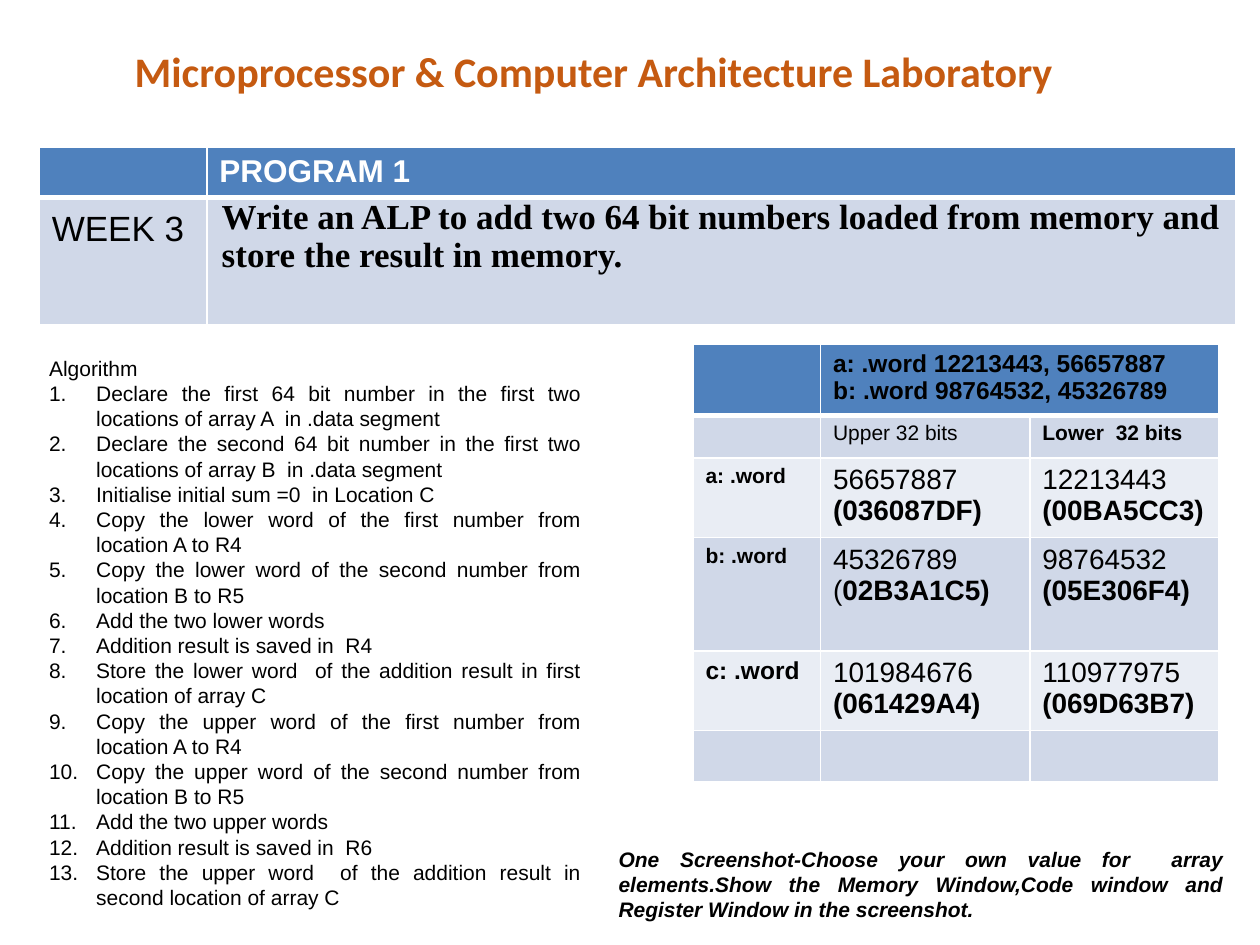
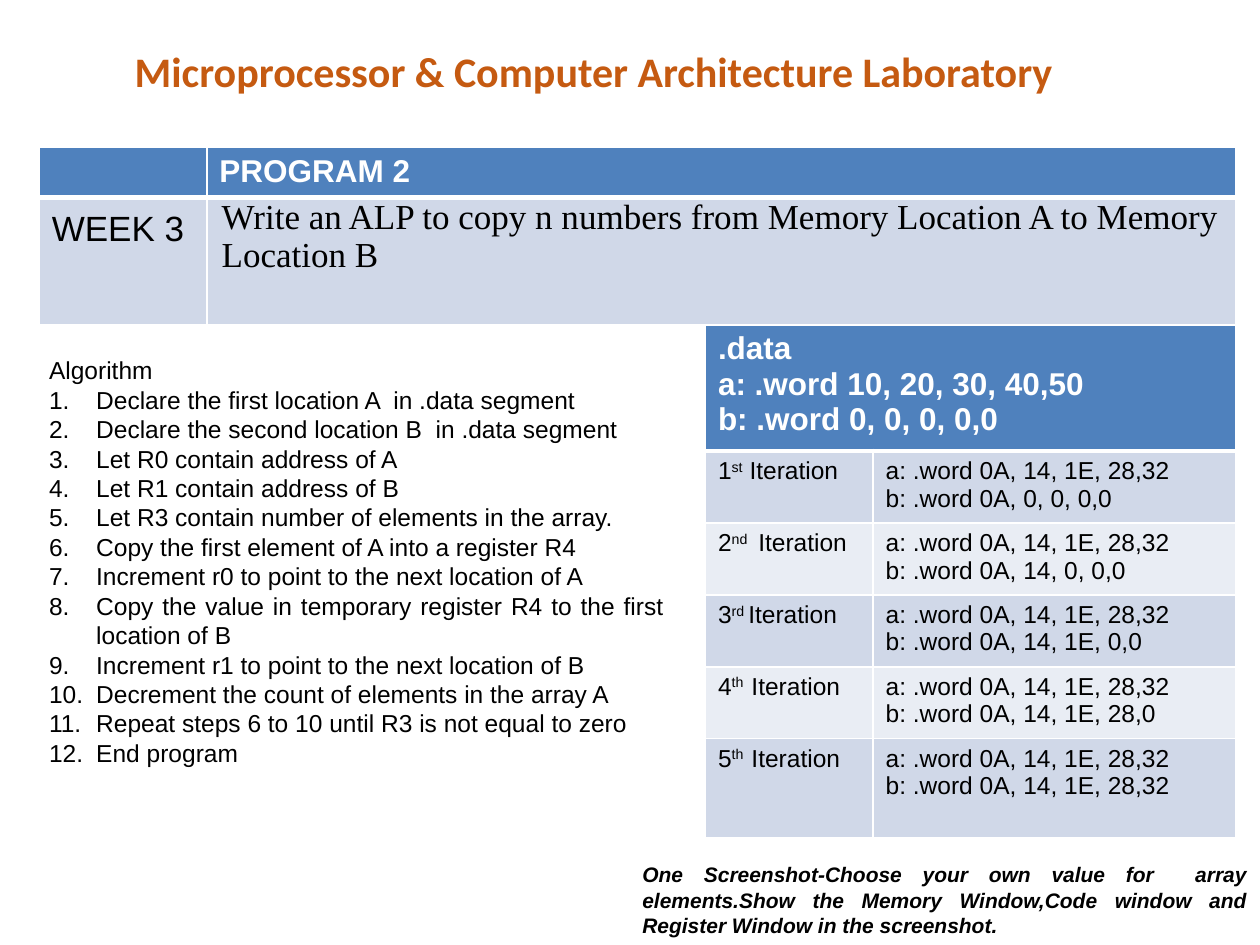
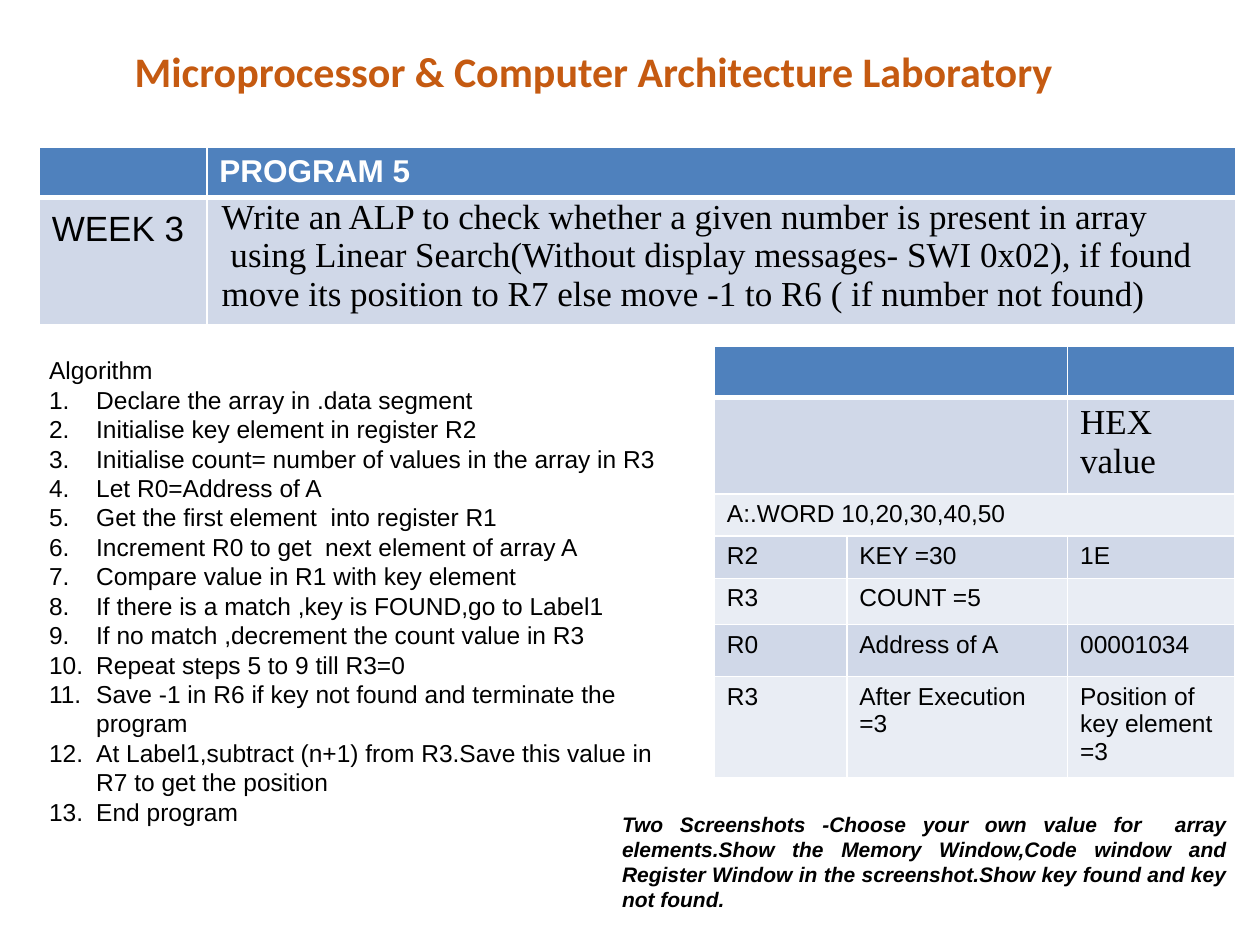
from dataclasses import dataclass

from pptx import Presentation, util as u
from pptx.dml.color import RGBColor
from pptx.enum import text
from pptx.oxml.ns import qn
from lxml import etree


@dataclass(frozen=True)
class Theme:
    title: str = "C55A11"
    head: str = "4F81BD"
    bands: tuple = ("E9EDF4", "D0D8E8")
    white: str = "FFFFFF"
    black: str = "000000"
    sans: str = "Arial"
    serif: str = "Times New Roman"
    heading: str = "Calibri"
    xl: int = 24
    lg: int = 20
    md: int = 18
    sm: int = 14
    xs: int = 12


T = Theme()
LEFT, JUST, CENTER = (text.PP_ALIGN.LEFT, text.PP_ALIGN.JUSTIFY,
                      text.PP_ALIGN.CENTER)
BOLD, PLAIN = {"bold": True}, {"bold": False}
BASE = {"name": T.sans, "size": T.xs, "bold": False, "color": T.black}
HEAD = {"size": T.md, "bold": True, "color": T.white}
SUP = {"baseline": "30000"}


# Text
def set_font(r, fmt):
    for key, val in fmt.items():
        if key == "color":
            r.font.color.rgb = RGBColor.from_string(val)
        elif key == "baseline":
            r._r.get_or_add_rPr().set(key, val)
        else:
            setattr(r.font, key, u.Pt(val) if key == "size" else val)


def write(tf, paras, fmt, align=LEFT):
    """Each paragraph is a string or a list of (text, format changes)."""
    fmt = {**BASE, **fmt}
    for i, para in enumerate(paras):
        p = tf.paragraphs[0] if i == 0 else tf.add_paragraph()
        p.alignment = align
        for words, changes in [(para, {})] if isinstance(para, str) else para:
            r = p.add_run()
            r.text = words
            set_font(r, {**fmt, **changes})
    if not paras:
        end = etree.SubElement(tf.paragraphs[0]._p, qn("a:endParaRPr"))
        end.set("sz", str(fmt["size"] * 100))


def add_text(s, box, paras, fmt, align):
    tf = s.shapes.add_textbox(*map(u.Cm, box)).text_frame
    tf.word_wrap = True
    tf.auto_size = text.MSO_AUTO_SIZE.SHAPE_TO_FIT_TEXT
    write(tf, paras, fmt, align)
    return tf


# Tables
def set_borders(cell, bottom):
    tcPr = cell._tc.get_or_add_tcPr()
    for side, width in zip("LRTB", (1, 1, 1, bottom)):
        ln = etree.SubElement(tcPr, qn(f"a:ln{side}"), w=str(u.Pt(width)))
        fill = etree.SubElement(ln, qn("a:solidFill"))
        etree.SubElement(fill, qn("a:srgbClr"), val=T.white)


def add_grid(s, left, top, cols, heights, rows, spans=()):
    """Each cell is (paragraphs, format); spans are (row, first, last)."""
    tbl = s.shapes.add_table(len(heights), len(cols), u.Cm(left), u.Cm(top),
                             u.Cm(sum(cols)), u.Cm(sum(heights))).table
    tbl.first_row = tbl.horz_banding = False
    for col, width in zip(tbl.columns, cols):
        col.width = u.Cm(width)
    for i, (height, row) in enumerate(zip(heights, rows)):
        tbl.rows[i].height = u.Cm(height)
        for j, (paras, fmt) in enumerate(row):
            cell = tbl.cell(i, j)
            set_borders(cell, 1 if i else 3)
            cell.fill.solid()
            cell.fill.fore_color.rgb = RGBColor.from_string(
                T.bands[i % 2] if i else T.head)
            write(cell.text_frame, paras, fmt)
    for row, first, last in spans:
        tbl.cell(row, first).merge(tbl.cell(row, last))
    return tbl


EMPTY = ([], {})


# Title and program band
def add_header(s, program, task, bold=False):
    tf = add_text(s, (0.64, 0.79, 22.66, 1.27),
                  ["Microprocessor & Computer Architecture Laboratory"],
                  {"name": T.heading, "size": T.xl, "bold": True,
                   "color": T.title}, CENTER)
    tf.vertical_anchor = text.MSO_ANCHOR.MIDDLE
    big = {"size": T.lg}
    tbl = add_grid(s, 0.79, 2.97, (3.38, 20.75), (0.99, 2.56), [
        [EMPTY, ([f"PROGRAM {program}"], HEAD)],
        [(["WEEK 3"], big), (task, {**big, "name": T.serif, "bold": bold})]])
    tbl.cell(1, 0).text_frame.paragraphs[0].line_spacing = 1.15
    cell = tbl.cell(1, 1)
    for side, gap in dict(left=0.3, right=0.3, top=0, bottom=0).items():
        setattr(cell, f"margin_{side}", u.Cm(gap))


# Numbered algorithm
def add_algorithm(s, width, height, size, steps, left_from=None):
    tf = add_text(s, (0.74, 7.04, width, height), ["Algorithm", *steps],
                  {"size": size}, JUST)
    for p in tf.paragraphs[1:]:
        pPr = p._p.get_or_add_pPr()
        pPr.set("marL", str(u.Cm(0.95)))
        pPr.set("indent", str(-u.Cm(0.95)))
        etree.SubElement(pPr, qn("a:buFont"), typeface="+mj-lt")
        etree.SubElement(pPr, qn("a:buAutoNum"), type="arabicPeriod")
    if left_from:
        for p in tf.paragraphs[left_from:]:
            p.alignment = LEFT


# Screenshot instruction
def add_note(s, left, top, height, start, end=""):
    add_text(s, (left, top, 12.7, height),
             [f"{start}-Choose your own value for  array elements.Show the "
              "Memory Window,Code window and Register Window in the "
              f"screenshot.{end}"], {"bold": True, "italic": True}, JUST)


# Program slides
def addition_slide(s):
    add_header(s, 1, ["Write an ALP to add two 64 bit numbers loaded from "
                      "memory and store the result in memory."], bold=True)

    def value(dec, code, lead=""):
        return [dec, [(lead, {}), (code, BOLD)] if lead
                else [(code, BOLD)]], {"size": 16}

    add_grid(s, 13.97, 6.93, (2.57, 4.22, 3.81),
             (1.42, 0.86, 1.6, 2.28, 1.6, 1.03), [
        [EMPTY, (["a: .word 12213443, 56657887 ",
                  "b: .word 98764532, 45326789"],
                 {"size": T.sm, "bold": True}), EMPTY],
        [EMPTY, (["Upper 32 bits"], {}), (["Lower  32 bits"], BOLD)],
        [(["a: .word"], BOLD), value("56657887", "(036087DF)"),
         value("12213443", "(00BA5CC3)")],
        [(["b: .word"], BOLD), value("45326789", "02B3A1C5)", "("),
         value("98764532", "(05E306F4)")],
        [(["c: .word"], {"size": T.sm, "bold": True}),
         value("101984676", "(061429A4)"), value("110977975", "(069D63B7)")],
        [EMPTY] * 3], [(0, 1, 2)])
    add_algorithm(s, 11.23, 11.9, T.xs, [
        "Declare the first 64 bit number in the first two locations of "
        "array A  in .data segment",
        "Declare the second 64 bit number in the first two locations of "
        "array B  in .data segment",
        "Initialise initial sum =0  in Location C",
        "Copy the lower word of the first number from location A to R4",
        "Copy the lower word of the second number from location B to R5",
        "Add the two lower words",
        "Addition result is saved in  R4",
        "Store the lower word  of the addition result in first location of "
        "array C",
        "Copy the upper word of the first number from location A to R4",
        "Copy the upper word of the second number from location B to R5",
        "Add the two upper words",
        "Addition result is saved in  R6",
        "Store the upper word  of the addition result in second location of "
        "array C"])
    add_note(s, 12.22, 16.94, 1.8, "One Screenshot")


def copy_slide(s):
    add_header(s, 2, ["Write an ALP to copy n numbers from Memory Location A "
                      "to Memory Location B"])
    small = {"size": T.sm}
    copied = ["0A, 0, 0, 0,0", "0A, 14, 0, 0,0", "0A, 14, 1E, 0,0",
              "0A, 14, 1E, 28,0", "0A, 14, 1E, 28,32"]
    labels = [("st", " Iteration"), ("nd ", " Iteration"),
              ("rd ", "Iteration"), ("th  ", "Iteration"),
              ("th  ", "Iteration")]
    rows = [[([[(str(n), {}), (suffix, SUP), (label, {})]], small),
             ([f"a: .word {copied[-1]}", f"b: .word {b}"], small)]
            for n, ((suffix, label), b) in enumerate(zip(labels, copied), 1)]
    add_grid(s, 14.22, 6.55, (3.38, 7.32), (2.54, *[1.45] * 4, 2), [
        [([".data", "a: .word 10, 20, 30, 40,50", "b: .word 0, 0, 0, 0,0"],
          HEAD), EMPTY], *rows], [(0, 0, 1)])
    add_algorithm(s, 12.9, 10.44, T.sm, [
        "Declare the first location A  in .data segment",
        "Declare the second location B  in .data segment",
        "Let R0 contain address of A",
        "Let R1 contain address of B",
        "Let R3 contain number of elements in the array.",
        "Copy the first element of A into a register R4",
        "Increment r0 to point to the next location of A",
        "Copy the value in temporary register R4 to the first location of B",
        "Increment r1 to point to the next location of B",
        "Decrement the count of elements in the array A",
        "Repeat steps 6 to 10 until R3 is not equal to zero",
        "End program"])
    add_note(s, 12.7, 17.25, 1.8, "One Screenshot")


def search_slide(s):
    add_header(s, 5, [
        "Write an ALP to check whether a given number is present in array",
        " using Linear Search(Without display messages- SWI 0x02), if found "
        "move its position to R7 else move -1 to R6 ( if number not found)"])
    registers = [("A:.WORD 10,20,30,40,50", "", ""),
                 ("R2", "KEY =30", "1E"),
                 ("R3", "COUNT =5", ""),
                 ("R0", "Address of A", "00001034"),
                 ("R3", "After Execution\n=3", "Position of key element =3")]
    rows = [[(cell.split("\n") if cell else [], {"size": T.sm})
             for cell in row] for row in registers]
    add_grid(s, 14.4, 6.99, (2.67, 4.45, 3.38),
             (1.02, 1.95, 0.85, 0.85, 0.93, 1.05, 2.02), [
        [EMPTY] * 3,
        [EMPTY, EMPTY, (["HEX value"], {"name": T.serif, "size": T.lg})],
        *rows], [(0, 0, 1), (1, 0, 1), (2, 0, 2)])
    add_algorithm(s, 12.9, 11.02, T.sm, [
        "Declare the array in .data segment",
        "Initialise key element in register R2",
        "Initialise count= number of values in the array in R3",
        "Let R0=Address of A",
        "Get the first element  into register R1",
        "Increment R0 to get  next element of array A",
        "Compare value in R1 with key element",
        "If there is a match ,key is FOUND,go to Label1",
        "If no match ,decrement the count value in R3",
        "Repeat steps 5 to 9 till R3=0",
        "Save -1 in R6 if key not found and terminate the program",
        "At Label1,subtract (n+1) from R3.Save this value in R7 to get the "
        "position",
        "End program"], left_from=8)
    add_note(s, 12.29, 16.23, 2.8, "Two Screenshots ",
             "Show key found and key not found.")


def main():
    prs = Presentation()
    prs.slide_width, prs.slide_height = u.Cm(25.4), u.Cm(19.05)
    for build in (addition_slide, copy_slide, search_slide):
        build(prs.slides.add_slide(prs.slide_layouts[6]))
    prs.save("out.pptx")


if __name__ == "__main__":
    main()
